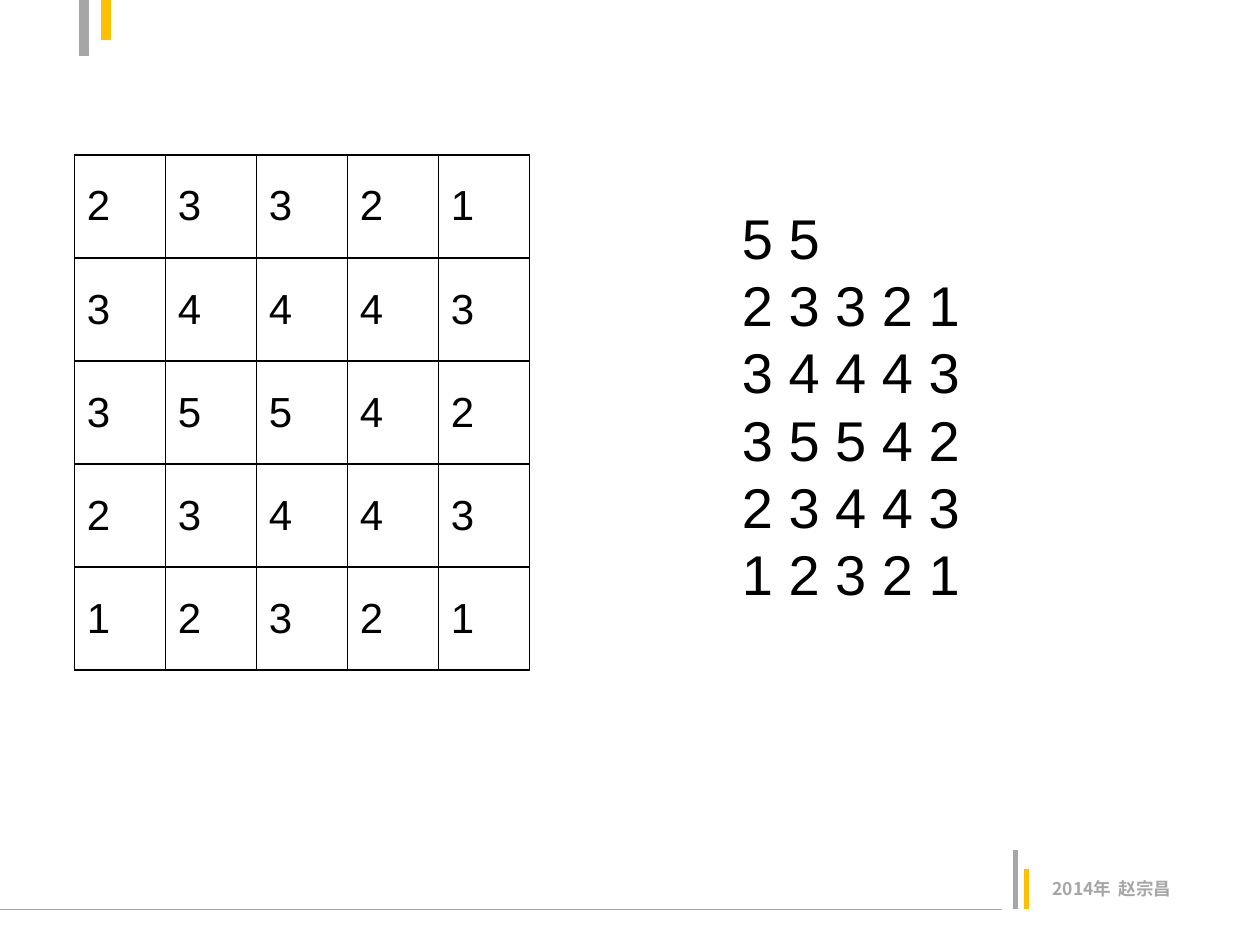
from pptx import Presentation
from pptx.dml.color import RGBColor
from pptx.enum.shapes import MSO_CONNECTOR
from pptx.enum.text import MSO_ANCHOR
from pptx.oxml.ns import qn
from pptx.util import Pt
from lxml.etree import SubElement

GRAY, YELLOW, BLACK = "A6A6A6", "FFC000", "000000"
GRID = [
    [2, 3, 3, 2, 1],
    [3, 4, 4, 4, 3],
    [3, 5, 5, 4, 2],
    [2, 3, 4, 4, 3],
    [1, 2, 3, 2, 1],
]


def color(value):
    return RGBColor.from_string(value)


class SlideBuilder:
    """Holds the text style and the current slide; lengths are in points."""

    font = "Arial"

    def __init__(self, slide):
        self.slide = slide

    def format_text(self, text_frame, size, fill=BLACK, font=None, bold=False):
        for paragraph in text_frame.paragraphs:
            for run in paragraph.runs:
                run.font.name = font or self.font
                run.font.size = Pt(size)
                run.font.bold = bold
                run.font.color.rgb = color(fill)
                east_asian = SubElement(run.font._element, qn("a:ea"))
                east_asian.set("typeface", font or self.font)

    def line(self, start, end, fill, width):
        connector = self.slide.shapes.add_connector(
            MSO_CONNECTOR.STRAIGHT, *(Pt(value) for value in start + end))
        connector.line.color.rgb = color(fill)
        connector.line.width = Pt(width)
        SubElement(connector._element.spPr, qn("a:effectLst"))

    def text(self, left, top, width, height, lines, size, spacing=None, **style):
        shape = self.slide.shapes.add_textbox(Pt(left), Pt(top), Pt(width), Pt(height))
        text_frame = shape.text_frame
        text_frame.word_wrap = False
        text_frame.vertical_anchor = MSO_ANCHOR.MIDDLE
        text_frame.text = "\n".join(lines)
        for paragraph in text_frame.paragraphs:
            if spacing:
                paragraph.line_spacing = Pt(spacing)
        self.format_text(text_frame, size, **style)

    def border(self, cell, fill, width):
        properties = cell._tc.get_or_add_tcPr()
        for position, side in enumerate(("lnL", "lnR", "lnT", "lnB")):
            edge = SubElement(properties, qn(f"a:{side}"), w=str(Pt(width)))
            solid = SubElement(edge, qn("a:solidFill"))
            SubElement(solid, qn("a:srgbClr"), val=fill)
            properties.insert(position, edge)

    def table(self, left, top, column_width, row_height, values, size):
        rows, columns = len(values), len(values[0])
        table = self.slide.shapes.add_table(
            rows, columns, Pt(left), Pt(top),
            Pt(column_width * columns), Pt(row_height * rows)).table
        table.first_row = table.horz_banding = False
        for column in table.columns:
            column.width = Pt(column_width)
        for row, row_values in zip(table.rows, values):
            row.height = Pt(row_height)
            for cell, value in zip(row.cells, row_values):
                cell.text_frame.text = str(value)
                cell.vertical_anchor = MSO_ANCHOR.MIDDLE
                cell.fill.background()
                self.format_text(cell.text_frame, size)
                self.border(cell, BLACK, 1)


def main():
    presentation = Presentation()
    presentation.slide_width, presentation.slide_height = Pt(720), Pt(540)
    slide = presentation.slides.add_slide(presentation.slide_layouts[6])
    builder = SlideBuilder(slide)

    # Footer rule, bars and author
    builder.line((-3, 519.6), (572.4, 519.6), GRAY, 0.75)
    builder.line((580.2, 519.6), (580.2, 485.6), GRAY, 3)
    builder.line((586.6, 519.6), (586.6, 496.6), YELLOW, 3)
    builder.text(594.4, 498.2, 86, 19.4, ["2014年  赵宗昌"], 10,
                 fill=GRAY, font="Noto Sans CJK SC", bold=True)

    # Header bars
    builder.line((48, 32), (48, -2), GRAY, 6)
    builder.line((60.5, 0), (60.5, 22.6), YELLOW, 6)

    # Height grid
    builder.table(42.5, 88.5, 52, 58.9, GRID, 24)

    # The same grid as program input: its size, then its rows
    input_rows = [[len(GRID), len(GRID[0])]] + GRID
    lines = [" ".join(str(value) for value in row) for row in input_rows]
    builder.text(416.9, 111.6, 139.7, 239.8, lines, 32, spacing=38.4)

    presentation.save("out.pptx")


if __name__ == "__main__":
    main()
